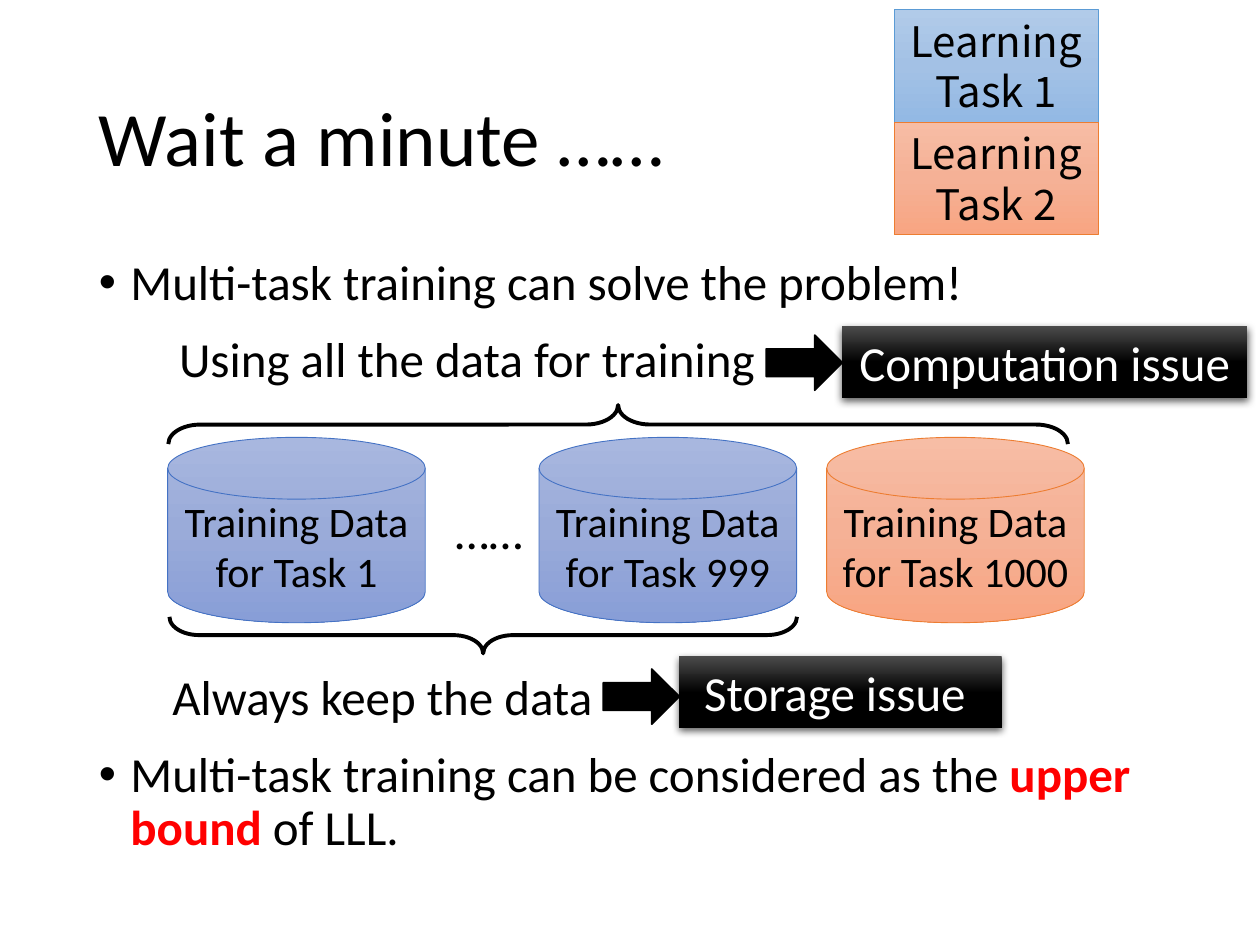
from copy import deepcopy
from dataclasses import dataclass

from lxml import etree
from pptx import Presentation
from pptx.dml.color import RGBColor
from pptx.enum import shapes, text
from pptx.oxml import ns
from pptx.util import Pt


@dataclass(frozen=True)
class Theme:
    font: str = "Calibri"
    task_font: str = "Noto Sans CJK SC"
    title: int = 44
    large: int = 28
    label: int = 24
    black: str = "000000"
    white: str = "FFFFFF"
    accent: str = "FF0000"
    sky: tuple = ("B1CBE9", "A3C1E5", "93B9E4")
    sky_line: str = "5B9BD5"
    blue: tuple = ("A8B7DF", "9AABD9", "889ED7")
    blue_line: str = "4472C4"
    orange: tuple = ("F7BDA5", "F5B196", "F8A582")
    orange_line: str = "ED7D31"
    dark: tuple = ("4B4B4B", "000000", "000000")


THEME = Theme()
KIND = shapes.MSO_SHAPE
CENTER = text.PP_ALIGN.CENTER
TOP = text.MSO_ANCHOR.TOP
MIDDLE = text.MSO_ANCHOR.MIDDLE


def rgb(code):
    return RGBColor.from_string(code)


def add_run(para, words, size, color=THEME.black, font=THEME.font, bold=False):
    span = para.add_run()
    span.text = words
    span.font.name = font
    span.font.size = Pt(size)
    span.font.bold = bold
    span.font.color.rgb = rgb(color)


def write_lines(box, lines, size, color=THEME.black, font=THEME.font, anchor=MIDDLE):
    frame = box.text_frame
    frame.word_wrap = True
    frame.vertical_anchor = anchor
    for index, line in enumerate(lines):
        para = frame.add_paragraph() if index else frame.paragraphs[0]
        para.alignment = CENTER
        add_run(para, line, size, color, font)


def add_textbox(page, area, anchor=TOP):
    box = page.shapes.add_textbox(*map(Pt, area))
    box.text_frame.word_wrap = True
    box.text_frame.vertical_anchor = anchor
    return box


def add_title(page, words, area):
    para = add_textbox(page, area, MIDDLE).text_frame.paragraphs[0]
    para.line_spacing = 0.9
    add_run(para, words, THEME.title)


def add_bullets(page, bullets, gap, area):
    frame = add_textbox(page, area).text_frame
    for index, spans in enumerate(bullets):
        para = frame.add_paragraph() if index else frame.paragraphs[0]
        para.line_spacing = 0.9
        para.space_before = Pt(gap if index else 0)
        for words, color, bold in spans:
            add_run(para, words, THEME.large, color, bold=bold)
        props = para._p.get_or_add_pPr()
        props.set("marL", str(Pt(18)))
        props.set("indent", str(Pt(-18)))
        etree.SubElement(props, ns.qn("a:buFont")).set("typeface", "Arial")
        etree.SubElement(props, ns.qn("a:buChar")).set("char", "•")


def add_caption(page, words, area):
    box = add_textbox(page, area)
    write_lines(box, [words], THEME.large, anchor=TOP)
    box.text_frame.auto_size = text.MSO_AUTO_SIZE.SHAPE_TO_FIT_TEXT


def add_outline(parent, kind, area, line=None, width=0.5):
    shape = parent.shapes.add_shape(kind, *map(Pt, area))
    shape.shadow.inherit = False
    if line:
        shape.line.color.rgb = rgb(line)
        shape.line.width = Pt(width)
    else:
        shape.line.fill.background()
    return shape


def add_gradient_shape(parent, kind, area, colors, line=None):
    shape = add_outline(parent, kind, area, line)
    shape.fill.gradient()
    shape.fill.gradient_angle = 270
    stop_list = shape._element.spPr.find(".//" + ns.qn("a:gsLst"))
    stop_list.append(deepcopy(stop_list[0]))
    for stop, color, position in zip(shape.fill.gradient_stops, colors, (0, 0.5, 1)):
        stop.color.rgb = rgb(color)
        stop.position = position
    return shape


def add_issue(page, words, area):
    box = add_gradient_shape(page, KIND.RECTANGLE, area, THEME.dark)
    write_lines(box, [words], THEME.large, THEME.white, anchor=TOP)
    box.text_frame.auto_size = text.MSO_AUTO_SIZE.SHAPE_TO_FIT_TEXT
    effects = box._element.spPr.find(ns.qn("a:effectLst"))
    shadow = etree.SubElement(effects, ns.qn("a:outerShdw"), blurRad=str(Pt(4.5)),
                              dist=str(Pt(1.5)), dir="5400000", rotWithShape="0")
    color = etree.SubElement(shadow, ns.qn("a:srgbClr"), val=THEME.black)
    etree.SubElement(color, ns.qn("a:alpha"), val="63000")


def add_arrow(page, left, top):
    arrow = add_outline(page, KIND.RIGHT_ARROW, (left, top, 43.5, 31.5), THEME.black, 1)
    arrow.fill.solid()
    arrow.fill.fore_color.rgb = rgb(THEME.black)


def add_brace(page, center_x, center_y, span, depth, rotation):
    area = (center_x - depth / 2, center_y - span / 2, depth, span)
    brace = add_outline(page, KIND.LEFT_BRACE, area, THEME.black, 2.25)
    brace.fill.background()
    brace.adjustments[0] = 0.82
    brace.adjustments[1] = 0.5
    brace.rotation = rotation


def add_tasks(page):
    group = page.shapes.add_group_shape()
    styles = ((THEME.sky, THEME.sky_line), (THEME.orange, THEME.orange_line))
    for index, (colors, line) in enumerate(styles):
        area = (511, 5.5 + 64.3 * index, 116.6, 64.3)
        box = add_gradient_shape(group, KIND.RECTANGLE, area, colors, line)
        write_lines(box, [f"Learning Task {index + 1}"], THEME.label, font=THEME.task_font)


def add_disk(page, task, left, colors, line):
    area = (left, 249.9, 147.2, 106)
    disk = add_gradient_shape(page, KIND.FLOWCHART_MAGNETIC_DISK, area, colors, line)
    write_lines(disk, ["Training Data", f"for Task {task}"], THEME.label)


def main():
    deck = Presentation()
    deck.slide_width, deck.slide_height = Pt(720), Pt(540)
    page = deck.slides.add_slide(deck.slide_layouts[6])

    add_title(page, "Wait a minute ……", (49.5, 28.75, 621, 104.4))
    bullets = (
        [("Multi-task training can solve the problem!", THEME.black, False)],
        [("Multi-task training can be considered as the ", THEME.black, False),
         ("upper bound", THEME.accent, True),
         (" of LLL.", THEME.black, False)],
    )
    add_bullets(page, bullets, 251, (49.5, 143.75, 621, 342.6))
    add_tasks(page)

    add_disk(page, 1, 95.8, THEME.blue, THEME.blue_line)
    add_disk(page, 999, 308, THEME.blue, THEME.blue_line)
    add_disk(page, 1000, 472.4, THEME.orange, THEME.orange_line)
    add_caption(page, "……", (243.4, 282.2, 72, 41.2))
    add_caption(page, "Using all the data for training", (89.3, 184.3, 355, 41.2))
    add_caption(page, "Always keep the data", (41, 377.3, 355, 41.2))

    add_brace(page, 353.2, 242.6, 514.1, 22.3, 90)
    add_brace(page, 276.1, 362.9, 358.6, 20.9, 270)
    add_arrow(page, 437.8, 191.5)
    add_arrow(page, 344.7, 382.3)
    add_issue(page, "Storage issue ", (388.1, 375.1, 184.3, 41.2))
    add_issue(page, "Computation issue ", (481, 186.5, 231.8, 41.2))
    deck.save("out.pptx")


if __name__ == "__main__":
    main()
